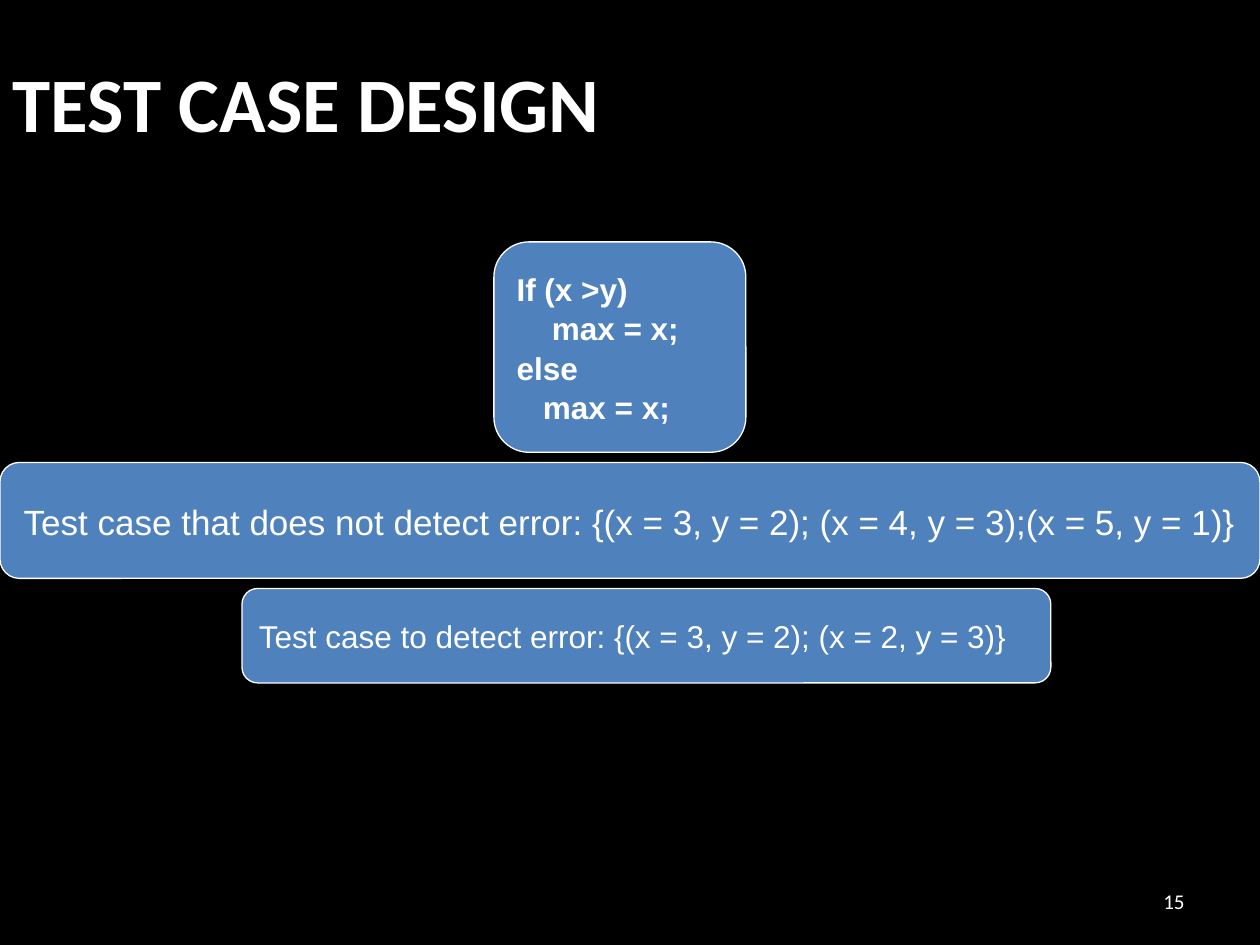
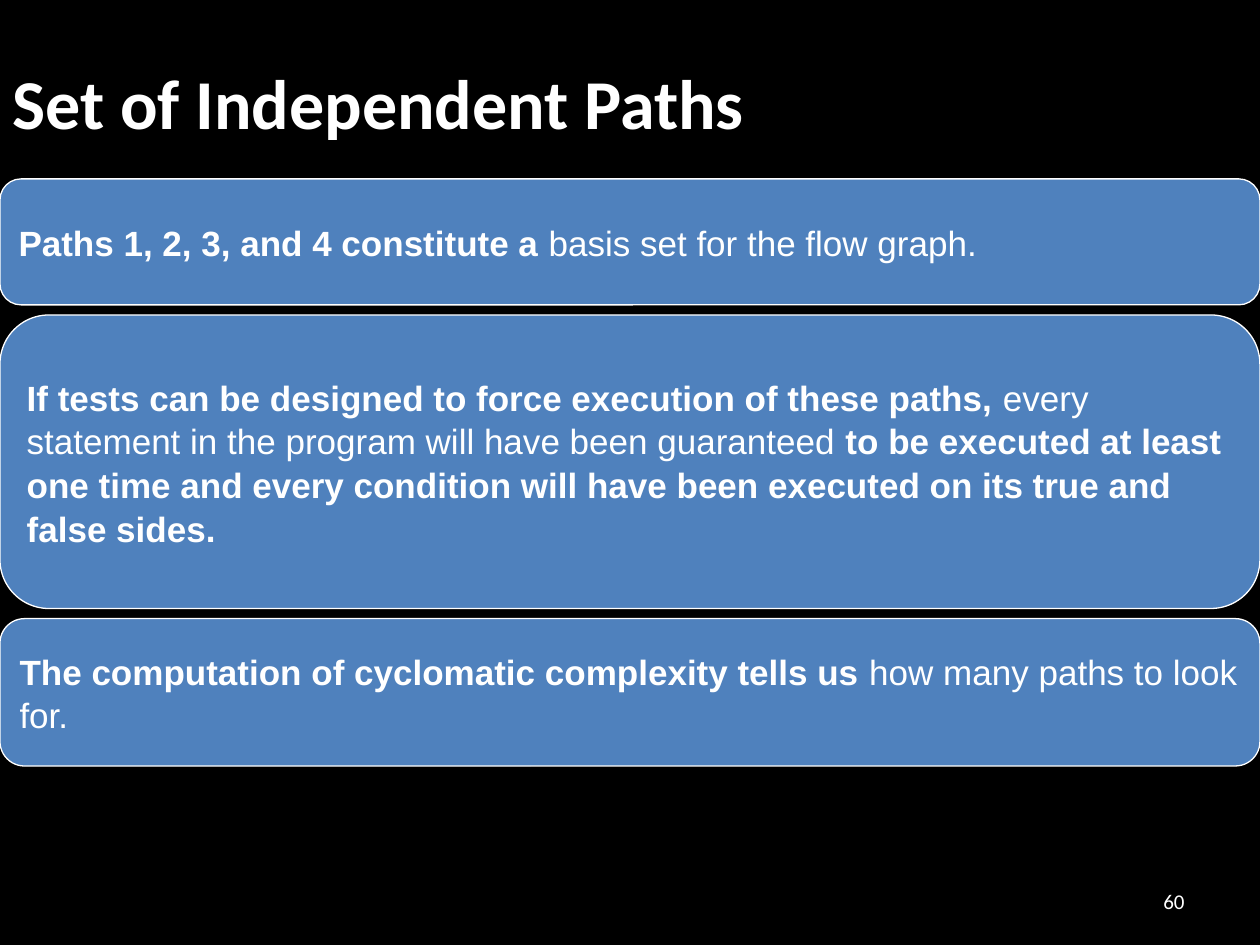
from pptx import Presentation
from pptx.dml.color import RGBColor
from pptx.enum.shapes import MSO_SHAPE
from pptx.enum.text import MSO_ANCHOR, MSO_AUTO_SIZE, PP_ALIGN
from pptx.util import Inches, Pt

COLORS = {"background": "000000", "box": "4F81BD", "text": "FFFFFF"}
FONTS = {"heading": "Calibri", "body": "Arial"}
SLIDE_WIDTH, SLIDE_HEIGHT = 10, 7.5
BOX_GAP = 0.08
TITLE_ONLY = 5


class Deck:
    """Holds the shared style and the slide being built."""

    def __init__(self):
        self.presentation = Presentation()
        self.presentation.slide_width = Inches(SLIDE_WIDTH)
        self.presentation.slide_height = Inches(SLIDE_HEIGHT)
        self.paint(self.presentation.slide_master.background.fill, "background")
        self.slide = None

    def paint(self, fill, color):
        fill.solid()
        fill.fore_color.rgb = RGBColor.from_string(COLORS[color])

    def set_frame(self, frame, wrap=True):
        frame.word_wrap = wrap
        frame.auto_size = MSO_AUTO_SIZE.NONE
        frame.vertical_anchor = MSO_ANCHOR.MIDDLE
        frame.margin_left = frame.margin_right = Inches(0.1)
        frame.margin_top = frame.margin_bottom = Inches(0.05)

    def add_run(self, paragraph, text, size, font, bold=False):
        run = paragraph.add_run()
        run.text = text
        run.font.name = FONTS[font]
        run.font.size = Pt(size)
        run.font.bold = bold
        run.font.color.rgb = RGBColor.from_string(COLORS["text"])

    def add_slide(self, title, title_size, number):
        layout = self.presentation.slide_layouts[TITLE_ONLY]
        self.slide = self.presentation.slides.add_slide(layout)
        self.add_title(title, title_size)
        self.add_number(number)

    def add_title(self, text, size):
        title = self.slide.shapes.title
        title.left, title.top = Inches(0), Inches(0)
        title.width, title.height = Inches(8.5), Inches(1.61)
        self.set_frame(title.text_frame)
        paragraph = title.text_frame.paragraphs[0]
        paragraph.alignment = PP_ALIGN.LEFT
        self.add_run(paragraph, text, size, "heading", bold=True)

    def add_number(self, number):
        box = self.slide.shapes.add_textbox(
            Inches(7.17), Inches(6.95), Inches(2.33), Inches(0.4))
        self.set_frame(box.text_frame)
        paragraph = box.text_frame.paragraphs[0]
        paragraph.alignment = PP_ALIGN.RIGHT
        self.add_run(paragraph, str(number), 12, "heading")

    def add_box(self, left, top, width, height, lines, size,
                align=PP_ALIGN.LEFT, wrap=True):
        shape = self.slide.shapes.add_shape(
            MSO_SHAPE.ROUNDED_RECTANGLE,
            Inches(left), Inches(top), Inches(width), Inches(height))
        shape.adjustments[0] = 0.167
        shape.shadow.inherit = False
        self.paint(shape.fill, "box")
        self.paint(shape.line.fill, "text")
        shape.line.width = Pt(0.75)
        frame = shape.text_frame
        self.set_frame(frame, wrap)
        for index, (indent, runs) in enumerate(lines):
            paragraph = frame.add_paragraph() if index else frame.paragraphs[0]
            paragraph.alignment = align
            paragraph.line_spacing = 1.04
            if indent:
                properties = paragraph._p.get_or_add_pPr()
                properties.set("marL", str(Inches(indent)))
            for text, bold in runs:
                self.add_run(paragraph, text, size, "body", bold)

    def add_stack(self, top, boxes):
        for box in boxes:
            self.add_box(top=top, **box)
            top += box["height"] + BOX_GAP


def build_test_case_design(deck):
    code = [(0, "If (x >y)"), (0.28, "max = x;"), (0, "else"), (0.21, "max = x;")]
    missed = "Test case that does not detect error: {(x = 3, y = 2); (x = 4, y = 3);(x = 5, y = 1)}"
    detected = "Test case to detect error: {(x = 3, y = 2); (x = 2, y = 3)}"
    deck.add_slide("TEST CASE DESIGN", 44, 15)
    deck.add_stack(1.92, [
        {"left": 3.92, "width": 2, "height": 1.67, "size": 18,
         "lines": [(indent, [(text, True)]) for indent, text in code]},
        {"left": 0, "width": SLIDE_WIDTH, "height": 0.92, "size": 20,
         "lines": [(0, [(missed, False)])],
         "align": PP_ALIGN.CENTER, "wrap": False},
        {"left": 1.92, "width": 6.42, "height": 0.75, "size": 18,
         "lines": [(0, [(detected, False)])]},
    ])


def build_independent_paths(deck):
    statements = [
        (1, [("Paths 1, 2, 3, and 4 constitute a ", True),
             ("basis set for the flow graph.", False)]),
        (2.33, [("If tests can be designed to force execution of these paths, ", True),
                ("every statement in the program will have been guaranteed", False),
                (" to be executed at least one time and every condition will have "
                 "been executed on its true and false sides.", True)]),
        (1.17, [("The computation of cyclomatic complexity tells us ", True),
                ("how many paths to look for.", False)]),
    ]
    deck.add_slide("Set of Independent Paths", 40, 60)
    deck.add_stack(1.42, [
        {"left": 0, "width": SLIDE_WIDTH, "height": height, "size": 20,
         "lines": [(0, runs)]}
        for height, runs in statements
    ])


def main():
    deck = Deck()
    build_test_case_design(deck)
    build_independent_paths(deck)
    deck.presentation.save("out.pptx")


if __name__ == "__main__":
    main()
